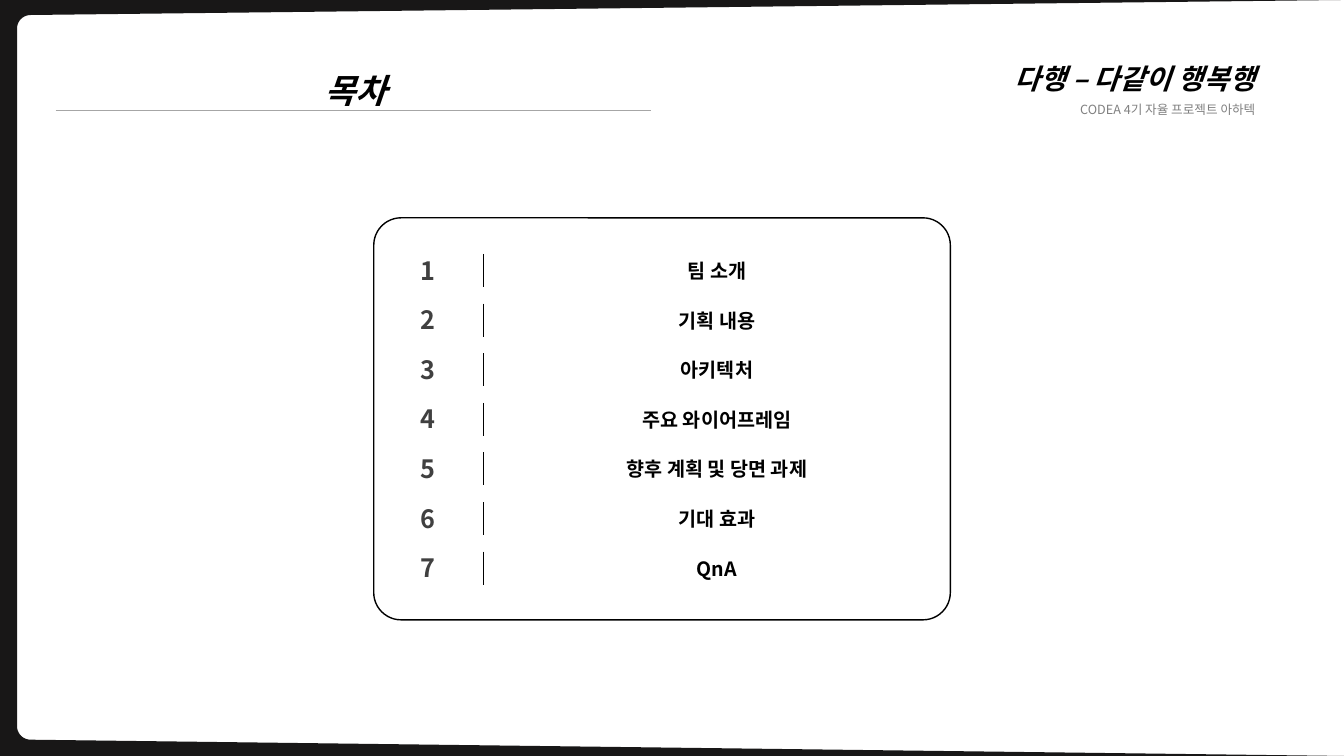
from dataclasses import dataclass
from math import cos, pi, sin

from lxml.etree import SubElement
from pptx import Presentation
from pptx.dml.color import RGBColor
from pptx.enum.shapes import MSO_CONNECTOR, MSO_SHAPE
from pptx.enum.text import MSO_AUTO_SIZE, PP_ALIGN
from pptx.oxml.ns import qn
from pptx.util import Cm, Pt


@dataclass(frozen=True)
class Theme:
    font: str = "Noto Sans CJK KR"
    black: str = "000000"
    white: str = "FFFFFF"
    frame: str = "181717"
    number: str = "404040"
    muted: str = "808080"
    rule: str = "A6A6A6"
    title: int = 24
    project: int = 20
    index: int = 18
    item: int = 14
    caption: int = 9


def rgb(value):
    return RGBColor.from_string(value)


def add_text(p, text, font, size, color, bold=True, italic=False,
             align=PP_ALIGN.LEFT, spacing=None):
    p.alignment = align
    p.line_spacing = spacing
    r = p.add_run()
    r.text = text
    r.font.name = font
    r.font.size = Pt(size)
    r.font.bold = bold
    r.font.italic = italic
    r.font.color.rgb = rgb(color)
    SubElement(r._r.get_or_add_rPr(), qn("a:ea"), typeface=font)


class Deck:
    """Draws styled elements on the current slide."""

    def __init__(self, prs, theme):
        self.theme = theme
        self.s = prs.slides.add_slide(prs.slide_layouts[6])

    def text(self, x, y, w, h, *lines, wrap=True, **fmt):
        box = self.s.shapes.add_textbox(Cm(x), Cm(y), Cm(w), Cm(h))
        tf = box.text_frame
        tf.word_wrap = wrap
        tf.auto_size = MSO_AUTO_SIZE.SHAPE_TO_FIT_TEXT
        for i, (text, own) in enumerate(lines):
            p = tf.add_paragraph() if i else tf.paragraphs[0]
            add_text(p, text, self.theme.font, **{**fmt, **own})

    def line(self, x1, y1, x2, y2, color, width):
        c = self.s.shapes.add_connector(
            MSO_CONNECTOR.STRAIGHT, Cm(x1), Cm(y1), Cm(x2), Cm(y2))
        c.line.color.rgb = rgb(color)
        c.line.width = Pt(width)
        SubElement(c._element.spPr, qn("a:effectLst"))

    def card(self, x, y, w, h, radius):
        sp = self.s.shapes.add_shape(
            MSO_SHAPE.ROUNDED_RECTANGLE, Cm(x), Cm(y), Cm(w), Cm(h))
        sp.adjustments[0] = radius
        sp.shadow.inherit = False
        sp.fill.solid()
        sp.fill.fore_color.rgb = rgb(self.theme.white)
        sp.line.color.rgb = rgb(self.theme.black)
        sp.line.width = Pt(1)

    def frame(self, w, h, left, top, bottom, radius, steps=10):
        cx = left + radius
        arc = [(radius * sin(pi / 2 * i / steps), radius * cos(pi / 2 * i / steps))
               for i in range(steps + 1)]
        points = [(w, 0)]
        points += [(cx - dx, top + radius - dy) for dx, dy in arc]
        points += [(cx - dx, bottom - radius + dy) for dx, dy in reversed(arc)]
        points += [(w, h), (0, h)]
        fb = self.s.shapes.build_freeform(0, 0)
        fb.add_line_segments([(Cm(x), Cm(y)) for x, y in points])
        sp = fb.convert_to_shape()
        sp.shadow.inherit = False
        sp.fill.solid()
        sp.fill.fore_color.rgb = rgb(self.theme.frame)
        sp.line.fill.background()

    def row(self, y, number, label):
        t = self.theme
        self.line(12.19, y, 12.19, y + 0.83, t.black, 1)
        self.text(10.36, y - 0.1, 0.89, 1.02, (str(number), {}),
                  wrap=False, size=t.index, color=t.number)
        self.text(12.52, y, 11.1, 0.86, (label, {}),
                  size=t.item, color=t.black, align=PP_ALIGN.CENTER)


def main():
    t = Theme()
    prs = Presentation()
    prs.slide_width, prs.slide_height = Cm(33.87), Cm(19.05)
    deck = Deck(prs, t)
    deck.frame(33.87, 19.05, left=0.43, top=0.38, bottom=18.64, radius=0.34)
    deck.text(19.89, 0.99, 11.99, 2.11,
              ("다행 – 다같이 행복행",
               {"size": t.project, "color": t.black, "italic": True}),
              ("CODEA 4기 자율 프로젝트 아하텍",
               {"size": t.caption, "color": t.muted, "bold": False}),
              align=PP_ALIGN.RIGHT, spacing=1.5)
    deck.line(1.4, 2.79, 16.41, 2.79, t.rule, 0.5)
    deck.text(3.78, 1.12, 10.36, 1.6, ("목차", {}), size=t.title,
              color=t.black, italic=True, align=PP_ALIGN.CENTER, spacing=1.5)
    deck.card(9.42, 5.49, 14.53, 10.13, radius=0.068)
    agenda = ["팀 소개", "기획 내용", "아키텍처", "주요 와이어프레임",
              "향후 계획 및 당면 과제", "기대 효과", "QnA"]
    for i, label in enumerate(agenda):
        deck.row(6.4 + 1.25 * i, i + 1, label)
    prs.save("out.pptx")


if __name__ == "__main__":
    main()
